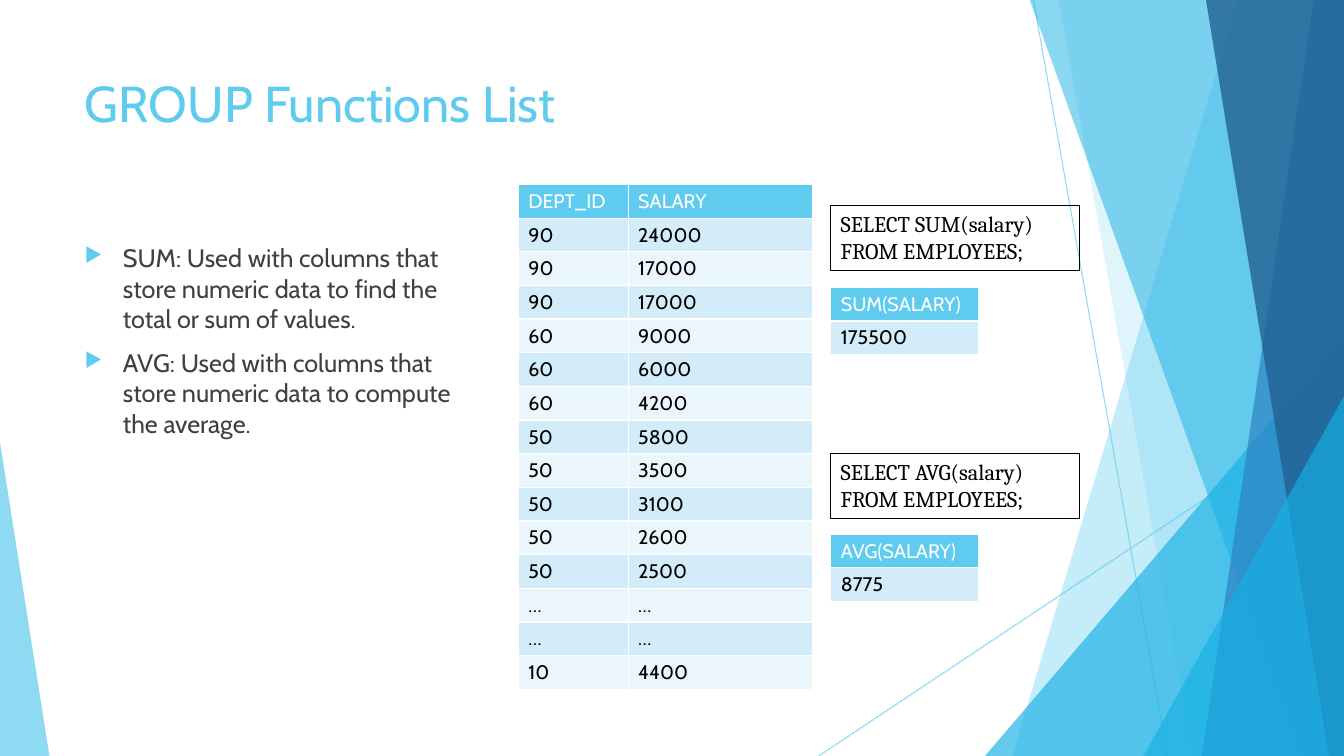
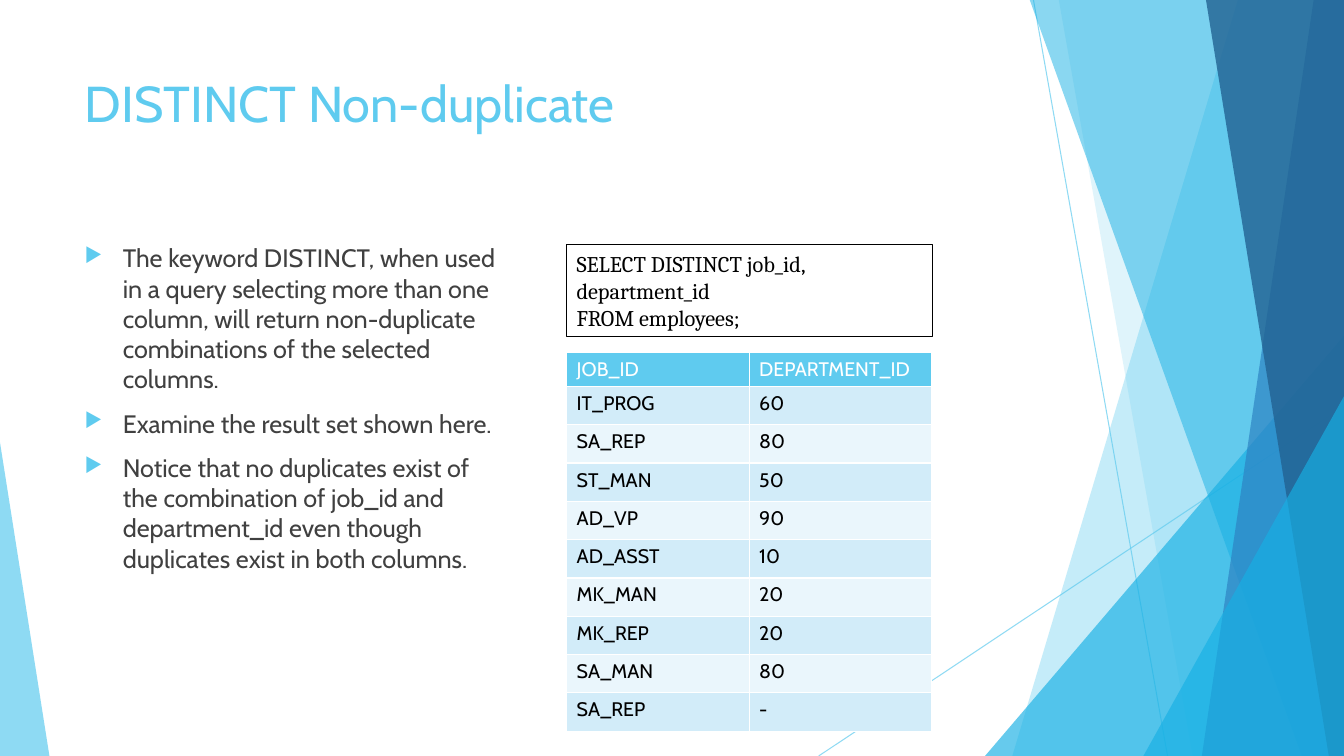
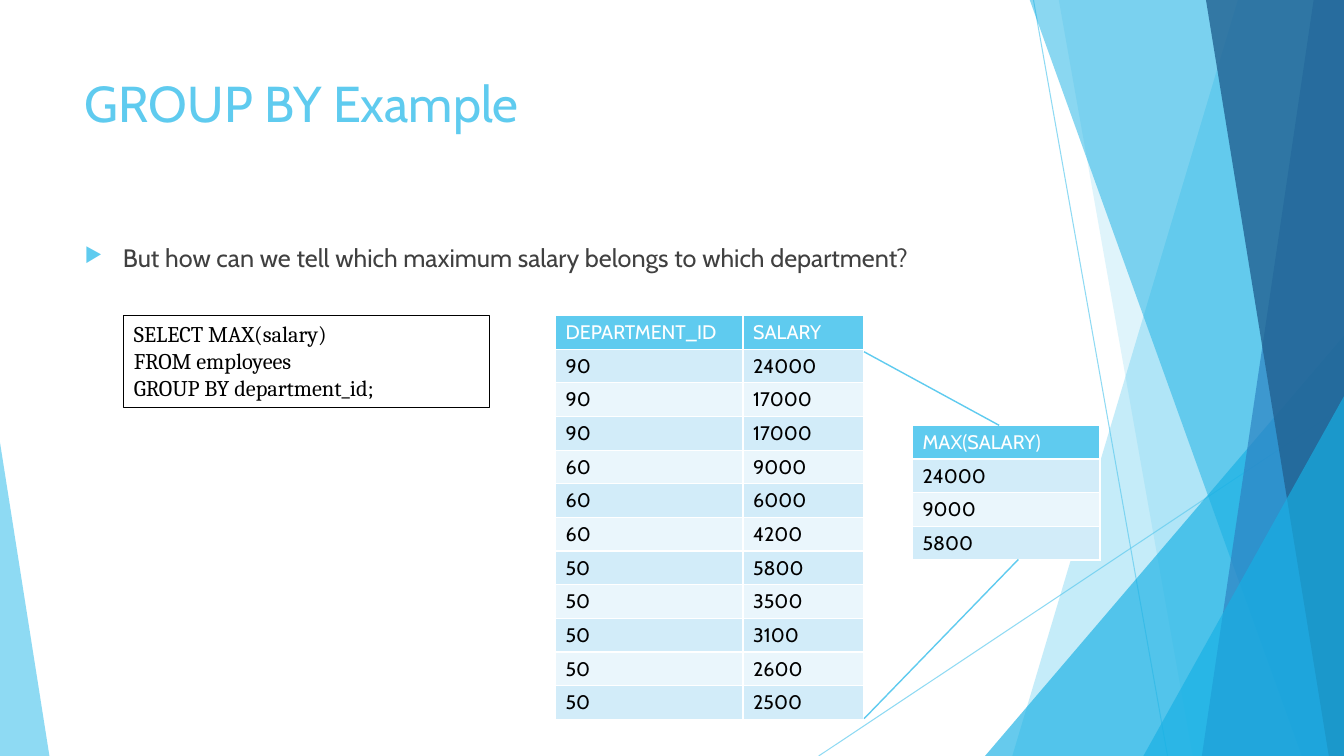
from lxml import etree
from pptx import Presentation
from pptx.dml.color import RGBColor
from pptx.enum import shapes, text
from pptx.oxml import ns
from pptx.util import Inches, Pt

COLORS = {
    "sky": "5FCBEF", "cyan": "17B0E4", "blue": "2E83C3", "navy": "226292",
    "band_dark": "D2ECF9", "band_light": "EAF6FC",
    "white": "FFFFFF", "black": "000000", "body": "404040",
}
FONTS = {
    "title": {"name": "Cabin", "size": Pt(36), "color": "sky"},
    "bullet": {"name": "Cabin", "size": Pt(18), "color": "body"},
    "header": {"name": "Cabin", "size": Pt(14), "bold": False, "color": "white"},
    "cell": {"name": "Cabin", "size": Pt(14), "color": "black"},
    "query": {"name": "Cambria", "size": Pt(16), "color": "black"},
}
WIDTH, HEIGHT = 13.33, 7.5
TITLE_AREA = (0.74, 0.67, 9.4, 1.44)
BODY_LEFT, BODY_TOP, BODY_HEIGHT = 0.74, 2.36, 4.24
HANGING = 0.38
ROW_HEIGHT = 0.33

# Background, back to front: rays run from point to point, facets from a top x
# to a bottom x along the right edge, triangles fill an area with a given apex.
BACKDROP = [
    ("ray", (10.25, 0, 11.58, HEIGHT), "sky", 70),
    ("ray", (WIDTH, 4.03, 8.12, HEIGHT), "sky", 70),
    ("facet", (12.28, 10.04), "sky", 36),
    ("facet", (10.5, 11.83), "sky", 20),
    ("triangle", (9.77, 3.33, 3.56, 4.17, 1), "cyan", 66),
    ("facet", (10.21, 12.91), "cyan", 50),
    ("facet", (13.03, 11.92), "blue", 70),
    ("facet", (11.96, 13.18), "navy", 80),
    ("triangle", (11.34, 3.93, 1.99, 3.57, 1), "cyan", 66),
    ("triangle", (0, 4.39, 0.49, 3.11, 0), "sky", 70),
]

SALARIES = [
    ("90", "24000"), ("90", "17000"), ("90", "17000"),
    ("60", "9000"), ("60", "6000"), ("60", "4200"),
    ("50", "5800"), ("50", "3500"), ("50", "3100"), ("50", "2600"), ("50", "2500"),
]
SLIDES = [
    {
        "title": "GROUP Functions List",
        "body_width": 4.22,
        "bullets": [
            "SUM: Used with columns that store numeric data to find the total or sum of values.",
            "AVG: Used with columns that store numeric data to compute the average.",
        ],
        "tables": [
            {"at": (5.14, 1.83), "cols": (1.09, 1.83),
             "rows": [("DEPT_ID", "SALARY"), *SALARIES,
                      ("…", "…"), ("…", "…"), ("10", "4400")]},
            {"at": (8.24, 2.85), "cols": (1.47,), "rows": [("SUM(SALARY)",), ("175500",)]},
            {"at": (8.24, 5.3), "cols": (1.47,), "rows": [("AVG(SALARY)",), ("8775",)]},
        ],
        "queries": [
            ((8.24, 2.04, 2.47, 0.64), ["SELECT SUM(salary) FROM EMPLOYEES;"]),
            ((8.24, 4.5, 2.47, 0.64), ["SELECT AVG(salary) FROM EMPLOYEES;"]),
        ],
    },
    {
        "title": "DISTINCT Non-duplicate",
        "body_width": 4.4,
        "bullets": [
            "The keyword DISTINCT, when used in a query selecting more than one column, "
            "will return non-duplicate combinations of the selected columns.",
            "Examine the result set shown here.",
            "Notice that no duplicates exist of the combination of job_id and "
            "department_id even though duplicates exist in both columns.",
        ],
        "tables": [
            {"at": (5.62, 3.5), "cols": (1.81, 1.81), "row_height": 0.38,
             "rows": [("JOB_ID", "DEPARTMENT_ID"), ("IT_PROG", "60"), ("SA_REP", "80"),
                      ("ST_MAN", "50"), ("AD_VP", "90"), ("AD_ASST", "10"),
                      ("MK_MAN", "20"), ("MK_REP", "20"), ("SA_MAN", "80"),
                      ("SA_REP", "-")]},
        ],
        "queries": [
            ((5.62, 2.43, 3.63, 0.91),
             ["SELECT DISTINCT job_id,", "department_id", "FROM employees;"]),
        ],
    },
    {
        "title": "GROUP BY Example",
        "body_width": 8.95,
        "bullets": ["But how can we tell which maximum salary belongs to which department?"],
        "tables": [
            {"at": (5.51, 3.13), "cols": (1.86, 1.2),
             "rows": [("DEPARTMENT_ID", "SALARY"), *SALARIES]},
            {"at": (9.05, 4.22), "cols": (1.86,),
             "rows": [("MAX(SALARY)",), ("24000",), ("9000",), ("5800",)]},
        ],
        "queries": [
            ((1.23, 3.13, 3.63, 0.91),
             ["SELECT MAX(salary)", "FROM employees", "GROUP BY department_id;"]),
        ],
        "links": [(9.91, 4.22, 8.57, 3.49), (10.1, 5.55, 8.57, 7.13)],
    },
]


def rgb(color):
    return RGBColor.from_string(COLORS[color])


def inches(values):
    return [Inches(value) for value in values]


def write(paragraph, words, style):
    run = paragraph.add_run()
    run.text = words
    for key, value in FONTS[style].items():
        if key == "color":
            run.font.color.rgb = rgb(value)
        else:
            setattr(run.font, key, value)


def write_lines(frame, lines, style):
    """Write one paragraph per line and return the paragraphs."""
    for _ in lines[1:]:
        frame.add_paragraph()
    for paragraph, line in zip(frame.paragraphs, lines):
        paragraph.alignment = text.PP_ALIGN.LEFT
        write(paragraph, line, style)
    return frame.paragraphs


def set_opacity(shape, percent):
    for color in shape._element.spPr.iter(ns.qn("a:srgbClr")):
        etree.SubElement(color, ns.qn("a:alpha"), val=str(percent * 1000))


def add_line(slide, ends, color, width):
    line = slide.shapes.add_connector(shapes.MSO_CONNECTOR.STRAIGHT, *inches(ends))
    line.line.color.rgb = rgb(color)
    line.line.width = Pt(width)
    etree.SubElement(line._element.spPr, ns.qn("a:effectLst"))
    return line


def add_facet(slide, top_x, bottom_x):
    top = -0.01
    corners = [(top_x, top), (WIDTH, top), (WIDTH, HEIGHT), (bottom_x, HEIGHT)]
    start, *others = [inches(corner) for corner in corners]
    builder = slide.shapes.build_freeform(*start)
    builder.add_line_segments(others, close=True)
    return builder.convert_to_shape()


def add_triangle(slide, left, top, width, height, apex):
    triangle = slide.shapes.add_shape(
        shapes.MSO_SHAPE.ISOSCELES_TRIANGLE, *inches((left, top, width, height)))
    triangle.adjustments[0] = apex
    return triangle


def add_backdrop(slide):
    """Draw the background and hand it over to the slide's layout."""
    layout_tree = slide.slide_layout.shapes._spTree
    for number, (kind, geometry, color, opacity) in enumerate(BACKDROP):
        if kind == "ray":
            part = add_line(slide, geometry, color, 0.75)
        else:
            add_part = add_facet if kind == "facet" else add_triangle
            part = add_part(slide, *geometry)
            part.shadow.inherit = False
            part.fill.solid()
            part.fill.fore_color.rgb = rgb(color)
            part.line.fill.background()
        set_opacity(part, opacity)
        part._element.xpath(".//p:cNvPr")[0].set("id", str(100 + number))
        layout_tree.append(part._element)


def add_title(slide, words):
    title = slide.shapes.title
    title.left, title.top, title.width, title.height = inches(TITLE_AREA)
    title.text_frame.auto_size = text.MSO_AUTO_SIZE.NONE
    title.text_frame.vertical_anchor = text.MSO_ANCHOR.TOP
    write_lines(title.text_frame, [words], "title")


def add_bullets(slide, width, lines):
    area = inches((BODY_LEFT, BODY_TOP, width, BODY_HEIGHT))
    frame = slide.shapes.add_textbox(*area).text_frame
    frame.word_wrap = True
    for index, paragraph in enumerate(write_lines(frame, lines, "bullet")):
        if index:
            paragraph.space_before = Pt(10)
        props = paragraph._p.get_or_add_pPr()
        props.set("marL", str(Inches(HANGING)))
        props.set("indent", str(-Inches(HANGING)))
        bullet_color = etree.SubElement(props, ns.qn("a:buClr"))
        etree.SubElement(bullet_color, ns.qn("a:srgbClr"), val=COLORS["sky"])
        etree.SubElement(props, ns.qn("a:buSzPct"), val="80000")
        etree.SubElement(props, ns.qn("a:buChar"), char="▶")


def add_result(slide, at, cols, rows, row_height=ROW_HEIGHT):
    """Add a banded result table with a header row."""
    heights = [ROW_HEIGHT] + [row_height] * (len(rows) - 1)
    area = inches((*at, sum(cols), sum(heights)))
    table = slide.shapes.add_table(len(rows), len(cols), *area).table
    for column, width in zip(table.columns, cols):
        column.width = Inches(width)
    for index, (row, values) in enumerate(zip(table.rows, rows)):
        row.height = Inches(heights[index])
        band = "band_dark" if index % 2 else "band_light"
        fill, style = (band, "cell") if index else ("sky", "header")
        for cell, value in zip(row.cells, values):
            cell.fill.solid()
            cell.fill.fore_color.rgb = rgb(fill)
            write(cell.text_frame.paragraphs[0], value, style)


def add_query(slide, area, lines):
    box = slide.shapes.add_shape(shapes.MSO_SHAPE.RECTANGLE, *inches(area))
    box.shadow.inherit = False
    box.fill.background()
    box.line.color.rgb = rgb("black")
    box.line.width = Pt(0.75)
    frame = box.text_frame
    frame.word_wrap = True
    frame.auto_size = text.MSO_AUTO_SIZE.SHAPE_TO_FIT_TEXT
    frame.vertical_anchor = text.MSO_ANCHOR.TOP
    write_lines(frame, lines, "query")


def main():
    deck = Presentation()
    deck.slide_width, deck.slide_height = inches((WIDTH, HEIGHT))
    title_only = deck.slide_layouts[5]
    for number, content in enumerate(SLIDES):
        slide = deck.slides.add_slide(title_only)
        if number == 0:
            add_backdrop(slide)
        add_title(slide, content["title"])
        add_bullets(slide, content["body_width"], content["bullets"])
        for result in content["tables"]:
            add_result(slide, **result)
        for area, lines in content["queries"]:
            add_query(slide, area, lines)
        for ends in content.get("links", []):
            add_line(slide, ends, "sky", 1)
    deck.save("out.pptx")


if __name__ == "__main__":
    main()
